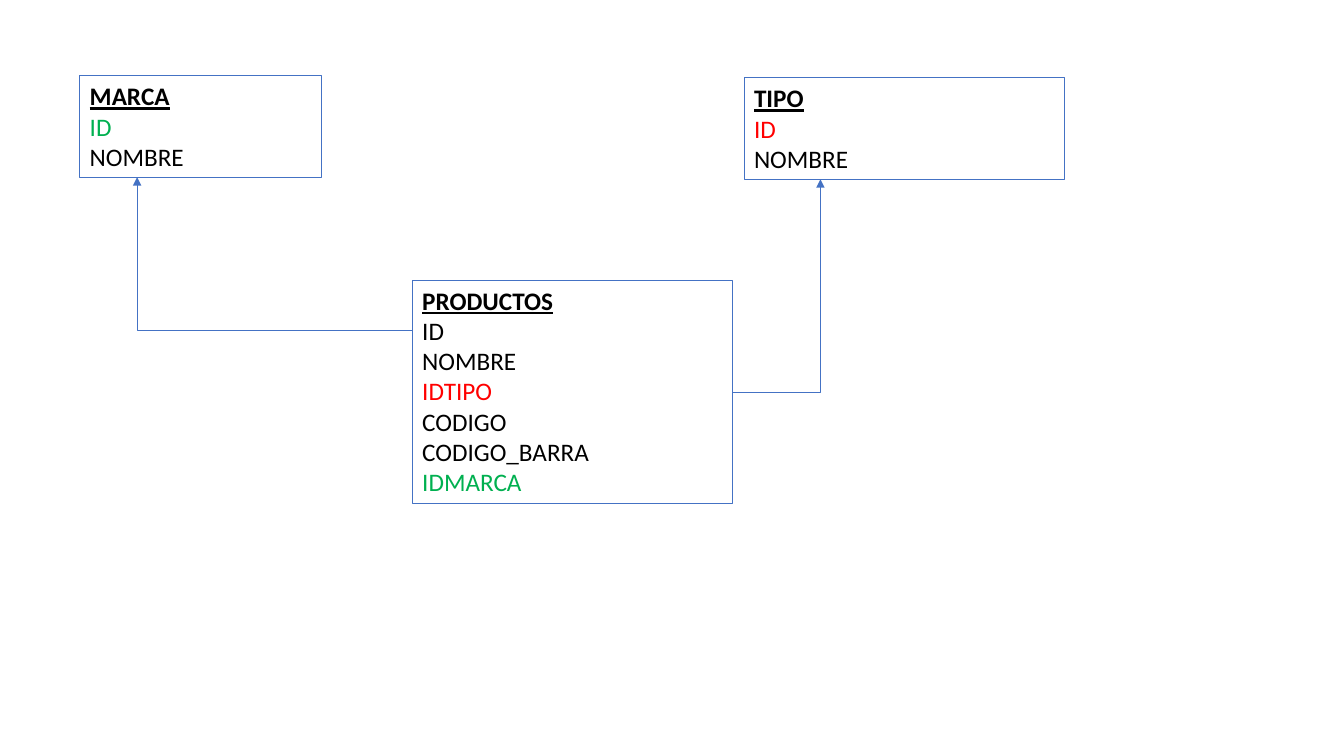
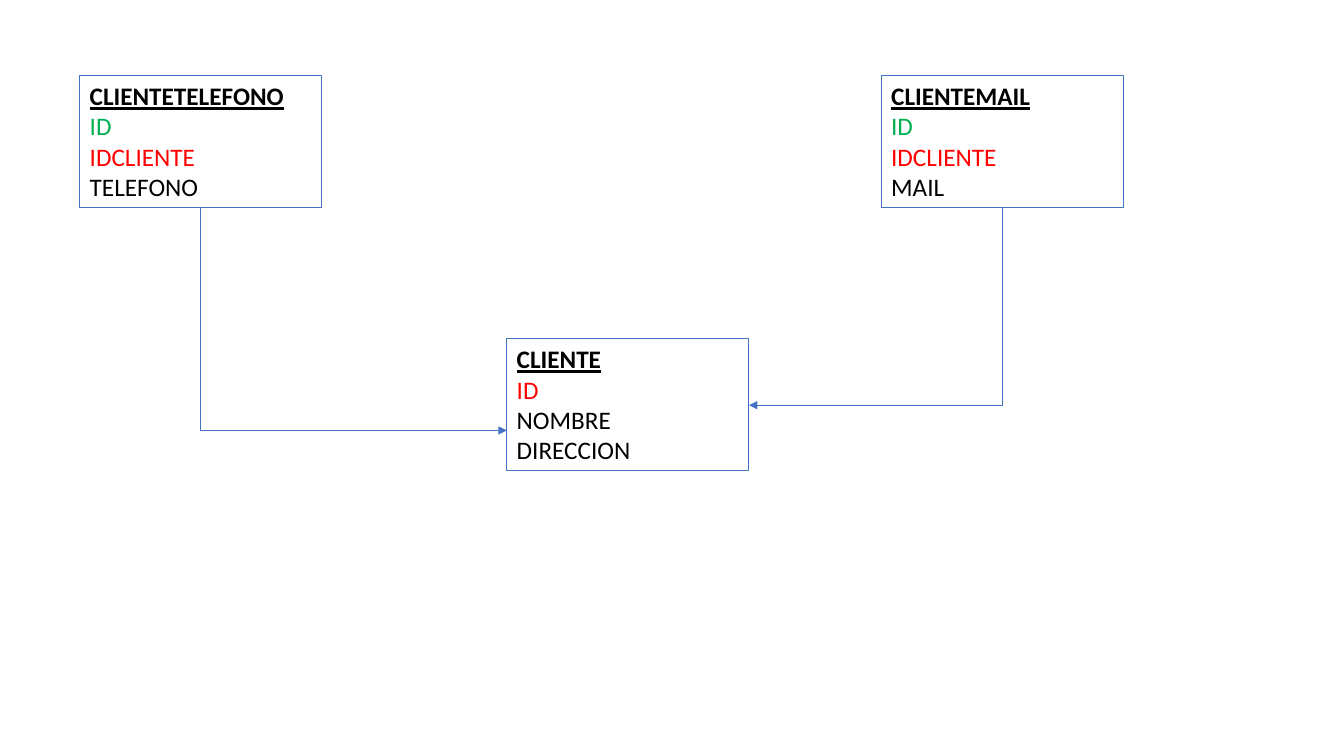
from lxml import etree
from pptx import Presentation
from pptx import util as u
from pptx.dml.color import RGBColor
from pptx.enum import shapes, text
from pptx.oxml.ns import qn

COLORS = {"border": "4472C4", "text": "000000", "red": "FF0000", "green": "00B050"}
FONT = "Calibri"
ROW_HEIGHT = 21.8
PADDING = 7.2

DIAGRAMS = [
    {
        "entities": {
            "PRODUCTOS": (294.5, 200, 229, ["ID", "NOMBRE", "IDTIPO", "CODIGO", "CODIGO_BARRA", "IDMARCA"],
                          {"IDTIPO": "red", "IDMARCA": "green"}),
            "TIPO": (531.5, 55.5, 229, ["ID", "NOMBRE"], {"ID": "red"}),
            "MARCA": (57, 54, 173, ["ID", "NOMBRE"], {"ID": "green"}),
        },
        "relations": [("PRODUCTOS", "right", 280, "TIPO", 586), ("PRODUCTOS", "left", 236, "MARCA", 98)],
        "arrow": "tailEnd",
    },
    {
        "entities": {
            "CLIENTE": (362, 242, 173, ["ID", "NOMBRE", "DIRECCION"], {"ID": "red"}),
            "CLIENTETELEFONO": (57, 54, 173, ["ID", "IDCLIENTE", "TELEFONO"],
                                {"ID": "green", "IDCLIENTE": "red"}),
            "CLIENTEMAIL": (629.5, 54, 173, ["ID", "IDCLIENTE", "MAIL"],
                            {"ID": "green", "IDCLIENTE": "red"}),
        },
        "relations": [("CLIENTE", "right", 289.5, "CLIENTEMAIL", 716),
                      ("CLIENTE", "left", 307.5, "CLIENTETELEFONO", 143.5)],
        "arrow": "headEnd",
    },
]


def add_entity(slide, name, left, top, width, fields, keys):
    height = ROW_HEIGHT * (len(fields) + 1) + PADDING
    entity = slide.shapes.add_textbox(u.Pt(left), u.Pt(top), u.Pt(width), u.Pt(height))
    entity.line.color.rgb = RGBColor.from_string(COLORS["border"])
    entity.line.width = u.Pt(0.75)
    frame = entity.text_frame
    frame.word_wrap = True
    frame.auto_size = text.MSO_AUTO_SIZE.SHAPE_TO_FIT_TEXT
    frame.text = "\n".join([name, *fields])
    for row, paragraph in enumerate(frame.paragraphs):
        font = paragraph.font
        font.name, font.size = FONT, u.Pt(18)
        font.bold = font.underline = row == 0
        color = keys.get(paragraph.text, "text")
        font.color.rgb = RGBColor.from_string(COLORS[color])
    return entity


def add_relation(slide, center, side, y, outer, x, arrow):
    start_x = center.left + (center.width if side == "right" else 0)
    relation = slide.shapes.add_connector(
        shapes.MSO_CONNECTOR.ELBOW, start_x, u.Pt(y), u.Pt(x), outer.top + outer.height)
    relation.line.color.rgb = RGBColor.from_string(COLORS["border"])
    relation.line.width = u.Pt(0.5)
    properties = relation._element.spPr
    properties.find(qn("a:prstGeom")).set("prst", "bentConnector2")
    etree.SubElement(properties.find(qn("a:ln")), qn(f"a:{arrow}"), type="triangle")
    etree.SubElement(properties, qn("a:effectLst"))


deck = Presentation()
deck.slide_width, deck.slide_height = u.Pt(960), u.Pt(540)

for diagram in DIAGRAMS:
    slide = deck.slides.add_slide(deck.slide_layouts[6])
    entities = {name: add_entity(slide, name, *details) for name, details in diagram["entities"].items()}
    for center, side, y, outer, x in diagram["relations"]:
        add_relation(slide, entities[center], side, y, entities[outer], x, diagram["arrow"])

deck.save("out.pptx")
